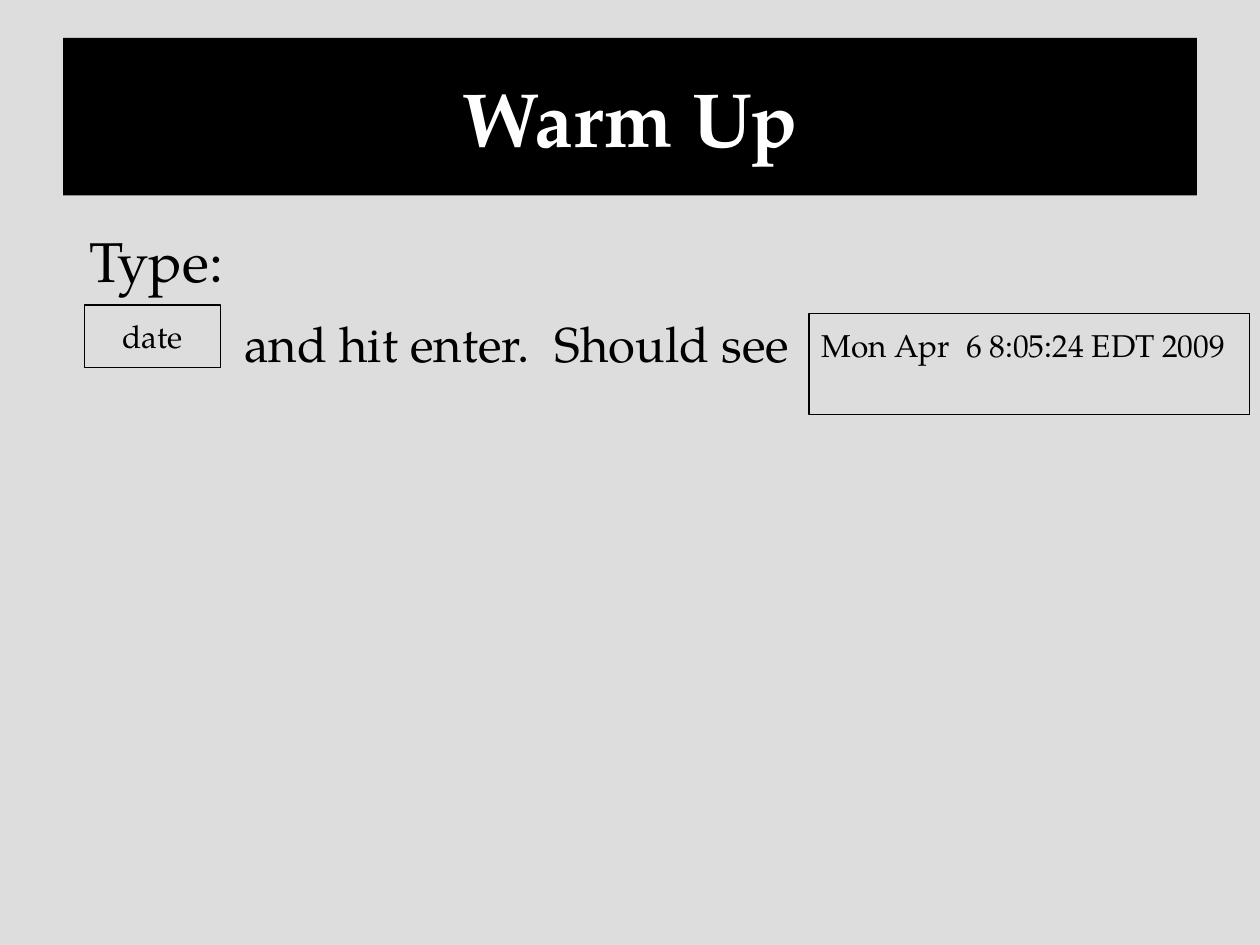
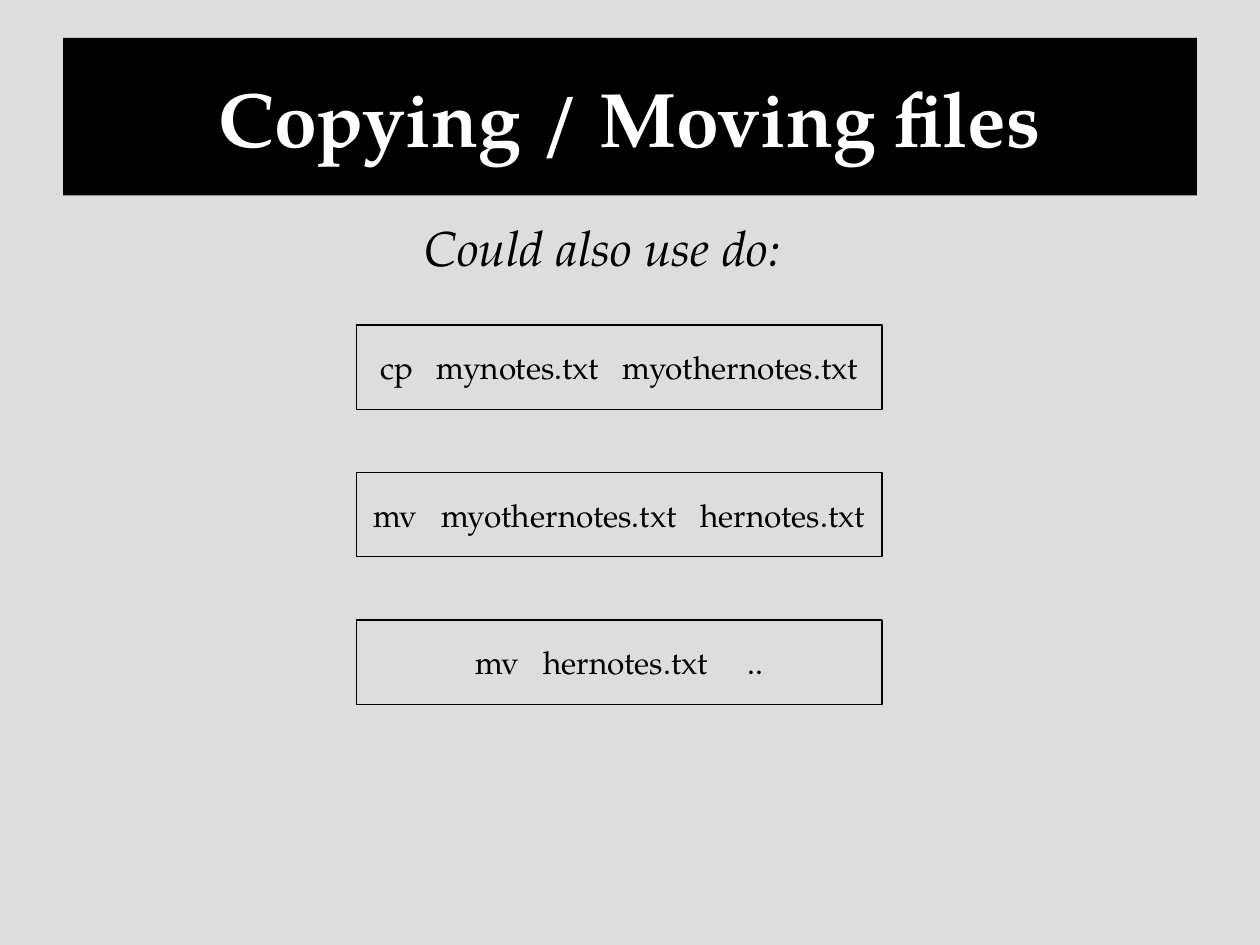
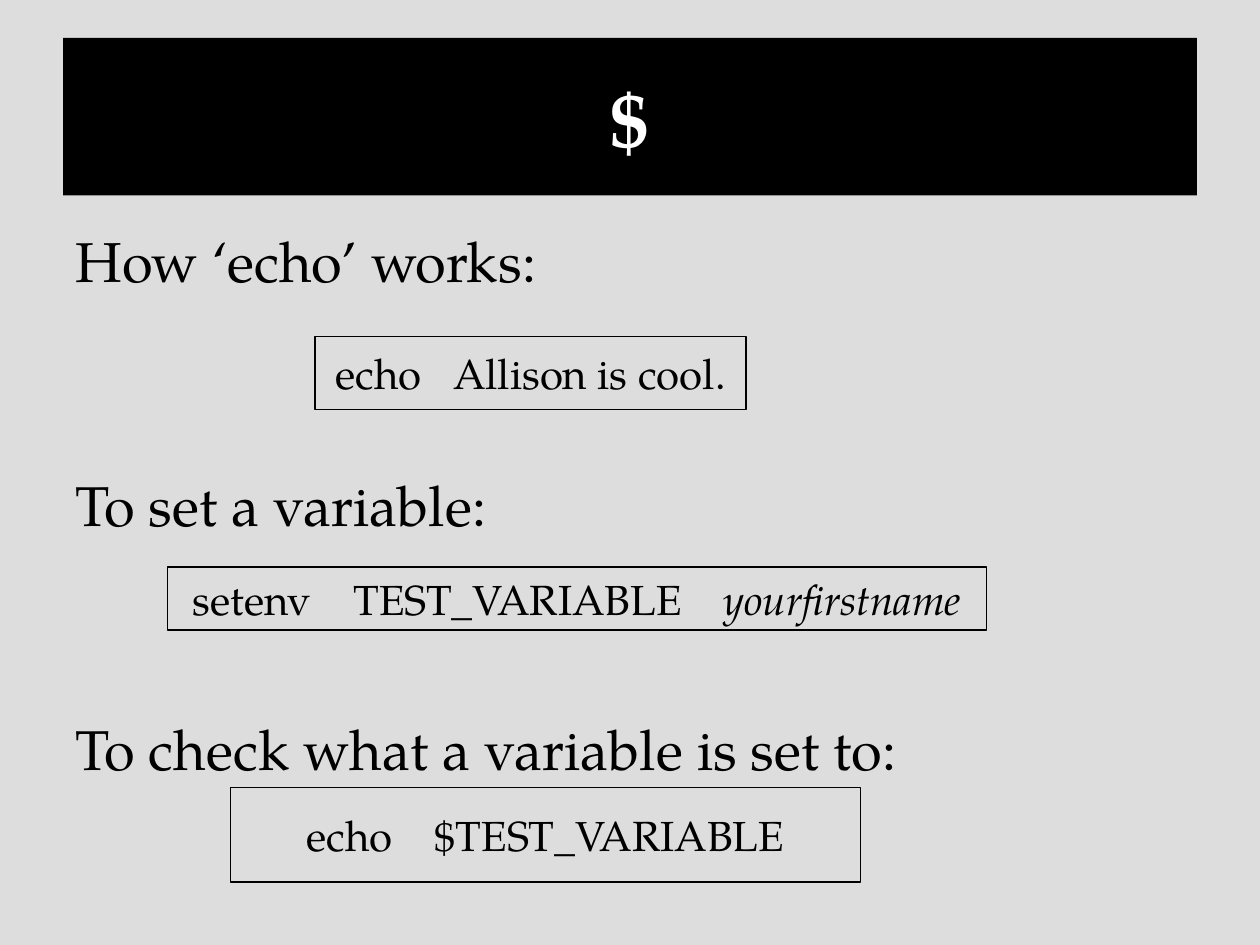
"""Builds three slides on basic shell commands."""
from dataclasses import dataclass

from lxml import etree
from pptx import Presentation
from pptx.dml.color import RGBColor
from pptx.enum import shapes, text
from pptx.oxml import ns
from pptx.util import Inches, Pt


@dataclass(frozen=True)
class Theme:
    font: str = "TeX Gyre Pagella"
    background: RGBColor = RGBColor(0xDD, 0xDD, 0xDD)
    ink: RGBColor = RGBColor(0, 0, 0)
    title_ink: RGBColor = RGBColor(255, 255, 255)
    title_size: int = 44
    body_size: int = 32
    note_size: int = 28
    large_command: int = 24
    small_command: int = 18
    outline: float = 0.75


THEME = Theme()
TITLE_AREA = (0.5, 0.3, 9, 1.25)
BODY_AREA = (0.5, 1.75, 9, 4.95)

WARM_UP_LINES = [
    ("Type:", THEME.body_size, 0.11, 0),
    ("and hit enter.  Should see", THEME.note_size, 1.34, 11),
]
DATE_COMMAND = ("date", (0.67, 2.42, 1.08, 0.5))
DATE_OUTPUT = ("Mon Apr  6 8:05:24 EDT 2009", (6.42, 2.49, 3.5, 0.8))

FILE_CAPTION = ("Could also use do:", (3.17, 1.68, 3.5, 1.04))
FILE_COMMANDS = [
    "cp   mynotes.txt   myothernotes.txt",
    "mv   myothernotes.txt   hernotes.txt",
    "mv   hernotes.txt     ..",
]
FILE_LEFT, FILE_TOP, FILE_WIDTH, FILE_HEIGHT, FILE_STEP = 2.83, 2.58, 4.17, 0.67, 1.17

VARIABLE_HEADINGS = [
    "How ‘echo’ works:",
    "To set a variable:",
    "To check what a variable is set to:",
]
HEADING_GAP = 101
VARIABLE_COMMANDS = [
    ("echo   Allison is cool.", "", (2.5, 2.67, 3.42, 0.58)),
    ("setenv    TEST_VARIABLE    ", "yourfirstname", (1.33, 4.5, 6.5, 0.5)),
    ("echo    $TEST_VARIABLE", "", (1.83, 6.25, 5, 0.75)),
]


def place(shape, area):
    shape.left, shape.top, shape.width, shape.height = map(Inches, area)


def style(para, size, color=THEME.ink, bold=False):
    para.font.name = THEME.font
    para.font.size = Pt(size)
    para.font.color.rgb = color
    para.font.bold = bold


def add_page(deck, layout, title):
    page = deck.slides.add_slide(deck.slide_layouts.get_by_name(layout))
    band = page.shapes.title
    place(band, TITLE_AREA)
    band.fill.solid()
    band.fill.fore_color.rgb = THEME.ink
    band.text_frame.text = title
    band.text_frame.auto_size = text.MSO_AUTO_SIZE.NONE
    band.text_frame.vertical_anchor = text.MSO_ANCHOR.MIDDLE
    para = band.text_frame.paragraphs[0]
    para.alignment = text.PP_ALIGN.CENTER
    style(para, THEME.title_size, THEME.title_ink, bold=True)
    return page


def fill_body(page, lines):
    body = page.placeholders[1]
    place(body, BODY_AREA)
    frame = body.text_frame
    frame.text = "\n".join(line[0] for line in lines)
    frame.auto_size = text.MSO_AUTO_SIZE.NONE
    for para, (_, size, indent, gap) in zip(frame.paragraphs, lines):
        style(para, size)
        para.space_before = Pt(gap)
        properties = para._p.get_or_add_pPr()
        properties.set("marL", str(Inches(indent)))
        properties.set("indent", "0")
        bullet = etree.Element(ns.qn("a:buNone"))
        properties.find(ns.qn("a:defRPr")).addprevious(bullet)


def add_command(page, command, area, size, argument=""):
    box = page.shapes.add_shape(shapes.MSO_SHAPE.RECTANGLE, *map(Inches, area))
    box.shadow.inherit = False
    box.fill.background()
    box.line.color.rgb = THEME.ink
    box.line.width = Pt(THEME.outline)
    frame = box.text_frame
    frame.word_wrap = False
    frame.vertical_anchor = text.MSO_ANCHOR.MIDDLE
    para = frame.paragraphs[0]
    para.alignment = text.PP_ALIGN.CENTER
    para.add_run().text = command
    if argument:
        span = para.add_run()
        span.text = argument
        span.font.italic = True
    style(para, size)
    return box


def build_warm_up(deck):
    page = add_page(deck, "Title and Content", "Warm Up")
    fill_body(page, WARM_UP_LINES)
    add_command(page, *DATE_COMMAND, THEME.small_command)
    frame = add_command(page, *DATE_OUTPUT, THEME.small_command).text_frame
    frame.word_wrap = True
    frame.vertical_anchor = text.MSO_ANCHOR.TOP
    frame.margin_top = frame.margin_bottom = Inches(0.1)
    frame.paragraphs[0].alignment = text.PP_ALIGN.LEFT


def build_files(deck):
    page = add_page(deck, "Title Only", "Copying / Moving files")
    caption, area = FILE_CAPTION
    frame = page.shapes.add_textbox(*map(Inches, area)).text_frame
    frame.word_wrap = True
    frame.margin_left = Inches(0.2)
    frame.text = caption
    style(frame.paragraphs[0], THEME.note_size)
    frame.paragraphs[0].font.italic = True
    for row, command in enumerate(FILE_COMMANDS):
        area = (FILE_LEFT, FILE_TOP + row * FILE_STEP, FILE_WIDTH, FILE_HEIGHT)
        add_command(page, command, area, THEME.small_command)


def build_variables(deck):
    page = add_page(deck, "Title and Content", "$")
    fill_body(page, [(heading, THEME.body_size, 0, HEADING_GAP if row else 0)
                     for row, heading in enumerate(VARIABLE_HEADINGS)])
    for command, argument, area in VARIABLE_COMMANDS:
        add_command(page, command, area, THEME.large_command, argument)


def main():
    deck = Presentation()
    deck.slide_width, deck.slide_height = Inches(10), Inches(7.5)
    background = deck.slide_master.background.fill
    background.solid()
    background.fore_color.rgb = THEME.background
    build_warm_up(deck)
    build_files(deck)
    build_variables(deck)
    deck.save("out.pptx")


if __name__ == "__main__":
    main()
